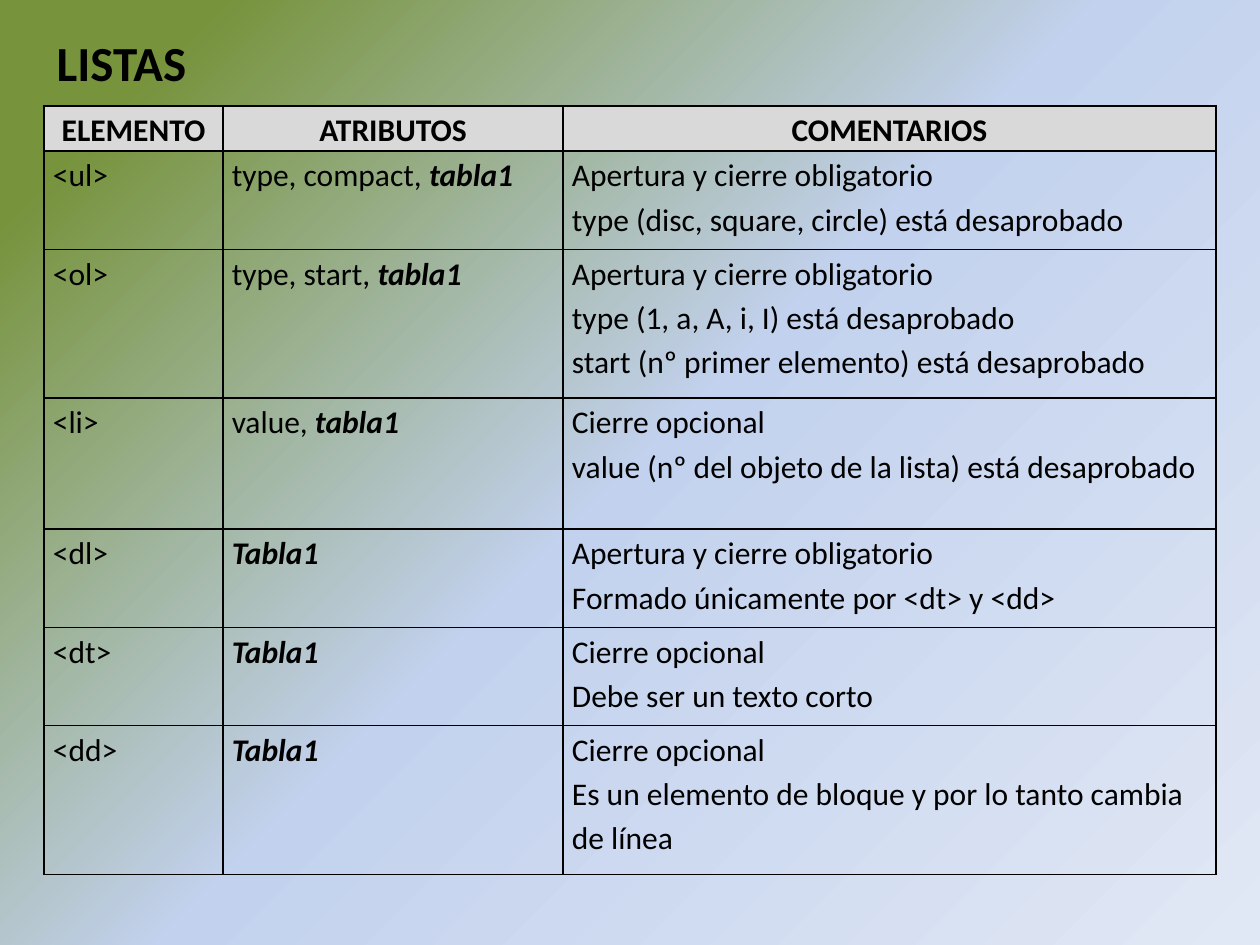
from dataclasses import dataclass

from pptx import Presentation, util as u
from pptx.dml.color import RGBColor
from pptx.enum import text
from pptx.oxml import parse_xml
from pptx.oxml.ns import nsdecls


@dataclass(frozen=True)
class Theme:
    font: str = "Calibri"
    ink: str = "000000"
    header: str = "D9D9D9"
    gradient: tuple = ((10, "77933C"), (50, "C2D1ED"), (100, "E1E8F5"))
    angle: int = 45
    title_size: int = 28
    body_size: int = 18
    border: int = 1


T = Theme()
OPEN_CLOSE = "Apertura y cierre obligatorio"
OPTIONAL = "Cierre opcional"
HEADINGS = ("ELEMENTO", "ATRIBUTOS", "COMENTARIOS")
COL_WIDTHS = (1.42, 2.7, 5.18)
HEADER_HEIGHT = 0.36

# Row height, element, plain attributes, emphasised attribute, comments
ELEMENTS = (
    (0.78, "<ul>", "type, compact, ", "tabla1",
     (OPEN_CLOSE, "type (disc, square, circle) está desaprobado")),
    (1.18, "<ol>", "type, start, ", "tabla1",
     (OPEN_CLOSE, "type (1, a, A, i, I) está desaprobado",
      "start (nº primer elemento) está desaprobado")),
    (1.04, "<li>", "value,", " tabla1",
     (OPTIONAL, "value (nº del objeto de la lista) está desaprobado")),
    (0.78, "<dl>", "", "Tabla1",
     (OPEN_CLOSE, "Formado únicamente por <dt> y <dd>")),
    (0.78, "<dt>", "", "Tabla1", (OPTIONAL, "Debe ser un texto corto")),
    (1.18, "<dd>", "", "Tabla1",
     (OPTIONAL, "Es un elemento de bloque y por lo tanto cambia de línea")),
)


def apply(obj, **values):
    for name, value in values.items():
        setattr(obj, name, value)


def add_run(p, content, size=T.body_size, bold=False, italic=False):
    r = p.add_run()
    r.text = content
    apply(r.font, name=T.font, size=u.Pt(size), bold=bold, italic=italic)
    r.font.color.rgb = RGBColor.from_string(T.ink)


def set_background(s):
    stops = "".join(f'<a:gs pos="{pos * 1000}"><a:srgbClr val="{color}"/></a:gs>'
                    for pos, color in T.gradient)
    s.element.cSld.insert(0, parse_xml(
        f'<p:bg {nsdecls("p", "a")}><p:bgPr><a:gradFill rotWithShape="1">'
        f'<a:gsLst>{stops}</a:gsLst><a:lin ang="{T.angle * 60000}" scaled="0"/>'
        '</a:gradFill><a:effectLst/></p:bgPr></p:bg>'))


def add_title(s, box, content):
    sp = s.shapes.title
    apply(sp, **dict(zip(("left", "top", "width", "height"), box)))
    tf = sp.text_frame
    apply(tf, word_wrap=True, vertical_anchor=text.MSO_ANCHOR.TOP,
          auto_size=text.MSO_AUTO_SIZE.SHAPE_TO_FIT_TEXT)
    p = tf.paragraphs[0]
    p.alignment = text.PP_ALIGN.LEFT
    add_run(p, content, T.title_size, bold=True)


def format_cell(cell, fill=None):
    apply(cell, margin_left=u.Inches(0.07), margin_right=u.Inches(0.07),
          margin_top=0, margin_bottom=0)
    tc_pr = cell._tc.get_or_add_tcPr()
    for side in "LRTB":
        tc_pr.append(parse_xml(
            f'<a:ln{side} {nsdecls("a")} w="{u.Pt(T.border)}"><a:solidFill>'
            f'<a:srgbClr val="{T.ink}"/></a:solidFill></a:ln{side}>'))
    if fill:
        cell.fill.solid()
        cell.fill.fore_color.rgb = RGBColor.from_string(fill)
    else:
        cell.fill.background()


def write_cell(cell, paragraphs, align=text.PP_ALIGN.LEFT, after=10):
    """Each paragraph is a list of (content, bold, italic) runs."""
    tf = cell.text_frame
    for i, runs in enumerate(paragraphs):
        p = tf.add_paragraph() if i else tf.paragraphs[0]
        apply(p, alignment=align, line_spacing=1.15, space_after=u.Pt(after))
        for content, bold, italic in runs:
            add_run(p, content, bold=bold, italic=italic)


def add_element_table(s, box):
    table = s.shapes.add_table(len(ELEMENTS) + 1, len(HEADINGS), *box).table
    apply(table, first_row=False, horz_banding=False)
    for col, width in zip(table.columns, COL_WIDTHS):
        col.width = u.Inches(width)
    heights = (HEADER_HEIGHT, *(row[0] for row in ELEMENTS))
    for row, height in zip(table.rows, heights):
        row.height = u.Inches(height)

    # Header row
    for i, heading in enumerate(HEADINGS):
        cell = table.cell(0, i)
        format_cell(cell, T.header)
        write_cell(cell, [[(heading, True, False)]], text.PP_ALIGN.CENTER)

    # One row for each element
    for i, (_, tag, plain, strong, comments) in enumerate(ELEMENTS, 1):
        cells = table.rows[i].cells
        for cell in cells:
            format_cell(cell)
        attributes = [(plain, False, False)] if plain else []
        attributes.append((strong, True, True))
        write_cell(cells[0], [[(tag, False, False)]])
        write_cell(cells[1], [attributes])
        write_cell(cells[2], [[(line, False, False)] for line in comments], after=0)


def main():
    prs = Presentation()
    apply(prs, slide_width=u.Inches(10), slide_height=u.Inches(7.5))
    s = prs.slides.add_slide(prs.slide_layouts[5])
    set_background(s)
    add_element_table(s, [u.Inches(v) for v in (0.35, 0.84, 9.3, 6.1)])
    add_title(s, [u.Inches(v) for v in (0.35, 0.21, 3.07, 0.57)], "LISTAS")
    prs.save("out.pptx")


if __name__ == "__main__":
    main()
